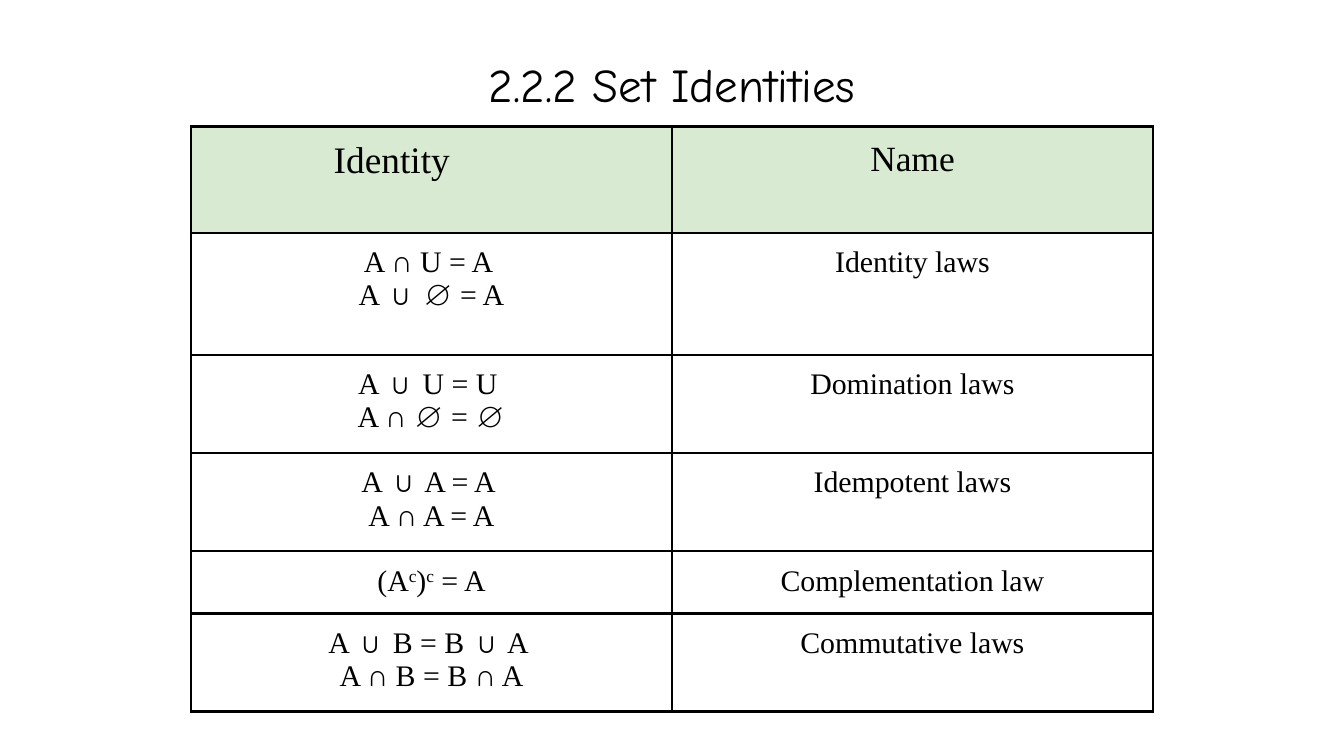
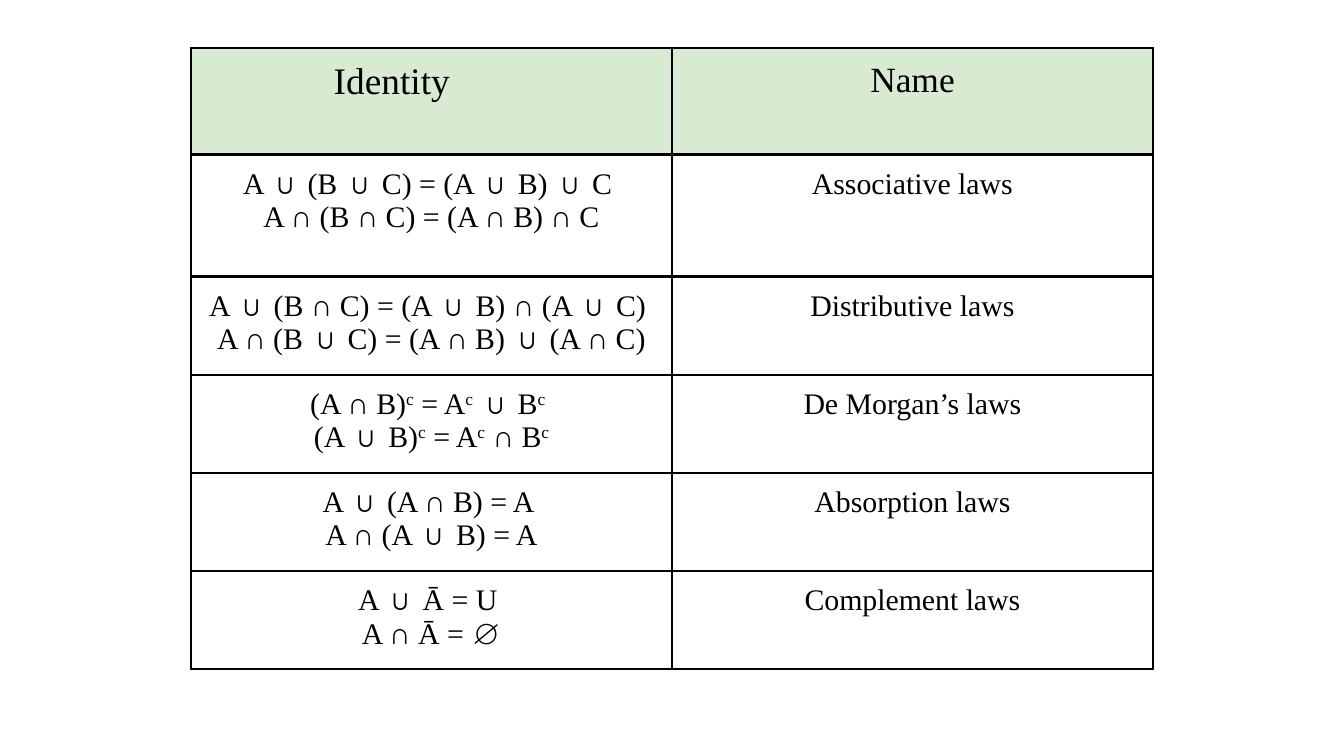
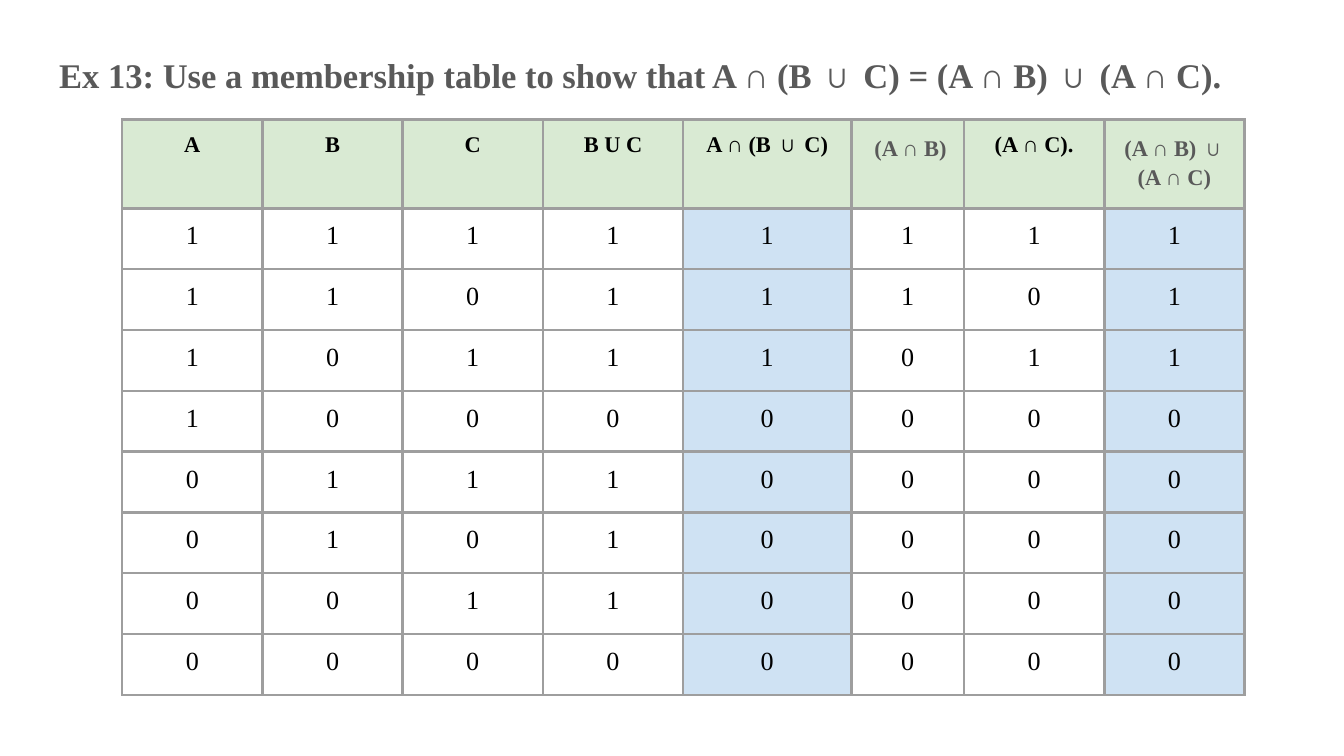
"""Builds three slides on set identities and a membership table."""
from dataclasses import dataclass
from itertools import product

from lxml.etree import SubElement
from pptx import Presentation
from pptx.dml.color import RGBColor as Rgb
from pptx.enum.text import MSO_ANCHOR as Anchor, PP_ALIGN as Align
from pptx.oxml.ns import qn
from pptx.util import Cm, Pt


@dataclass(frozen=True)
class Theme:
    title_font: str = "Comic Neue"
    body_font: str = "Times New Roman"
    black: str = "000000"
    grey: str = "595959"
    grid: str = "9E9E9E"
    header_fill: str = "D9EAD3"
    result_fill: str = "CFE2F3"
    title_size: float = 25.2
    exercise_size: float = 18.5
    identity_size: float = 20
    name_size: float = 19
    law_size: float = 16
    heading_size: float = 12
    value_size: float = 14
    border: float = 1.5
    inset: float = 0.25


THEME = Theme()
LAW_COLUMNS = [9.09, 9.09]
LAW_ROWS = [2.01, 2.31, 1.7, 1.7, 1.1, 1.7]
BASIC_LAWS = [
    (["A ∩ U = A ", "A ∪ ∅ = A"], "Identity laws"),
    (["A ∪ U = U ", "A ∩ ∅ = ∅"], "Domination laws"),
    (["A ∪ A = A ", "A ∩ A = A"], "Idempotent laws"),
    (["(A^c)^c = A"], "Complementation law"),
    (["A ∪ B = B ∪ A ", "A ∩ B = B ∩ A"], "Commutative laws"),
]
COMPOUND_LAWS = [
    (["A ∪ (B ∪ C) = (A ∪ B) ∪ C ", "A ∩ (B ∩ C) = (A ∩ B) ∩ C"], "Associative laws"),
    (["A ∪ (B ∩ C) = (A ∪ B) ∩ (A ∪ C) ", "A ∩ (B ∪ C) = (A ∩ B) ∪ (A ∩ C)"],
     "Distributive laws"),
    (["(A ∩ B)^c = A^c ∪ B^c ", "(A ∪ B)^c = A^c ∩ B^c"], "De Morgan’s laws"),
    (["A ∪ (A ∩ B) = A ", "A ∩ (A ∪ B) = A"], "Absorption laws"),
    (["A ∪ Ā = U ", "A ∩ Ā = ∅"], "Complement laws"),
]
MEMBERSHIP_COLUMNS = [2.65, 2.65, 2.65, 2.65, 3.18, 2.13, 2.65, 2.65]
MEMBERSHIP_ROWS = [1.68] + [1.15] * 8
MEMBERSHIP_HEADINGS = ["A", "B", "C", "B U C", "A ∩ (B ∪ C)", " (A ∩ B)", "(A ∩ C).",
                       "(A ∩ B) ∪ (A ∩ C)"]
GREY_HEADINGS = (5, 7)
RESULT_COLUMNS = (4, 7)


def add_span(para, text, size, color, font, bold, raised=False):
    """Add one formatted run, raised if it is a superscript."""
    span = para.add_run()
    span.text = text
    span.font.size, span.font.bold, span.font.name = Pt(size), bold, font
    span.font.color.rgb = Rgb.from_string(color)
    properties = span.font._element
    for tag in ("a:ea", "a:cs"):
        SubElement(properties, qn(tag)).set("typeface", font)
    if raised:
        properties.set("baseline", "30000")


def write_lines(frame, lines, size, color=THEME.black, font=THEME.body_font,
                bold=False, align=Align.CENTER, spaced=False):
    """Write one paragraph per line; the letter after ^ is a superscript."""
    for index, line in enumerate(lines):
        para = frame.add_paragraph() if index else frame.paragraphs[0]
        para.alignment = align
        if spaced:
            para.line_spacing, para.space_after = 1.15, Pt(12)
        start, *powers = line.split("^")
        add_span(para, start, size, color, font, bold)
        for power in powers:
            add_span(para, power[0], size, color, font, bold, raised=True)
            if power[1:]:
                add_span(para, power[1:], size, color, font, bold)


def add_heading(page, top, text, size, **style):
    """Add the heading box across the page."""
    box = page.shapes.add_textbox(Cm(0.87), Cm(top), Cm(23.67), Cm(1.6))
    frame = box.text_frame
    frame.word_wrap = True
    frame.margin_left = frame.margin_right = Cm(THEME.inset)
    frame.margin_top = frame.margin_bottom = Cm(THEME.inset)
    write_lines(frame, [text], size, **style)


def style_cell(cell, fill, border):
    """Set the insets, fill and four borders of a cell."""
    cell.vertical_anchor = Anchor.TOP
    cell.margin_left = cell.margin_right = Cm(THEME.inset)
    cell.margin_top = cell.margin_bottom = Cm(THEME.inset)
    properties = cell._tc.get_or_add_tcPr()
    for side in ("a:lnL", "a:lnR", "a:lnT", "a:lnB"):
        line = SubElement(properties, qn(side), w=str(Pt(THEME.border)))
        SubElement(SubElement(line, qn("a:solidFill")), qn("a:srgbClr"), val=border)
    if fill:
        cell.fill.solid()
        cell.fill.fore_color.rgb = Rgb.from_string(fill)
    else:
        cell.fill.background()


def add_grid(page, left, top, columns, rows, border, result_columns=()):
    """Add an empty table with a filled header row and filled result columns."""
    grid = page.shapes.add_table(len(rows), len(columns), Cm(left), Cm(top),
                                 Cm(sum(columns)), Cm(sum(rows))).table
    grid.first_row = grid.horz_banding = False
    for column, width in zip(grid.columns, columns):
        column.width = Cm(width)
    for row_index, (row, height) in enumerate(zip(grid.rows, rows)):
        row.height = Cm(height)
        for column_index, cell in enumerate(row.cells):
            result = THEME.result_fill if column_index in result_columns else None
            style_cell(cell, result if row_index else THEME.header_fill, border)
    return grid


def add_law_table(page, top, laws):
    """Add a table of identities and their names."""
    grid = add_grid(page, 3.61, top, LAW_COLUMNS, LAW_ROWS, THEME.black)
    identity, name = grid.cell(0, 0), grid.cell(0, 1)
    identity.margin_right = Cm(1.75)
    write_lines(identity.text_frame, ["Identity"], THEME.identity_size)
    write_lines(name.text_frame, ["Name"], THEME.name_size)
    for row, (formulas, law) in enumerate(laws, 1):
        write_lines(grid.cell(row, 0).text_frame, formulas, THEME.law_size)
        write_lines(grid.cell(row, 1).text_frame, [law], THEME.law_size)


def add_membership_table(page):
    """Add the membership table for the distributive law."""
    grid = add_grid(page, 2.31, 2.26, MEMBERSHIP_COLUMNS, MEMBERSHIP_ROWS,
                    THEME.grid, RESULT_COLUMNS)
    for column, heading in enumerate(MEMBERSHIP_HEADINGS):
        grey = column in GREY_HEADINGS
        write_lines(grid.cell(0, column).text_frame, [heading], THEME.heading_size,
                    color=THEME.grey if grey else THEME.black, bold=True, spaced=grey)
    for row, (a, b, c) in enumerate(product((1, 0), repeat=3), 1):
        values = (a, b, c, b | c, a & (b | c), a & b, a & c, a & b | a & c)
        for column, value in enumerate(values):
            write_lines(grid.cell(row, column).text_frame, [str(value)], THEME.value_size)


def main():
    """Build the deck and save it."""
    deck = Presentation()
    deck.slide_width, deck.slide_height = Cm(25.4), Cm(14.29)
    blank = deck.slide_layouts[6]
    basic, compound, exercise = (deck.slides.add_slide(blank) for _ in range(3))

    add_heading(basic, 0.79, "2.2.2 Set Identities", THEME.title_size,
                font=THEME.title_font)
    add_law_table(basic, 2.39, BASIC_LAWS)

    add_law_table(compound, 0.91, COMPOUND_LAWS)

    add_heading(exercise, 0.66,
                "Ex 13: Use a membership table to show that "
                "A ∩ (B ∪ C) = (A ∩ B) ∪ (A ∩ C).",
                THEME.exercise_size, color=THEME.grey, bold=True,
                align=Align.LEFT, spaced=True)
    add_membership_table(exercise)

    deck.save("out.pptx")


if __name__ == "__main__":
    main()
